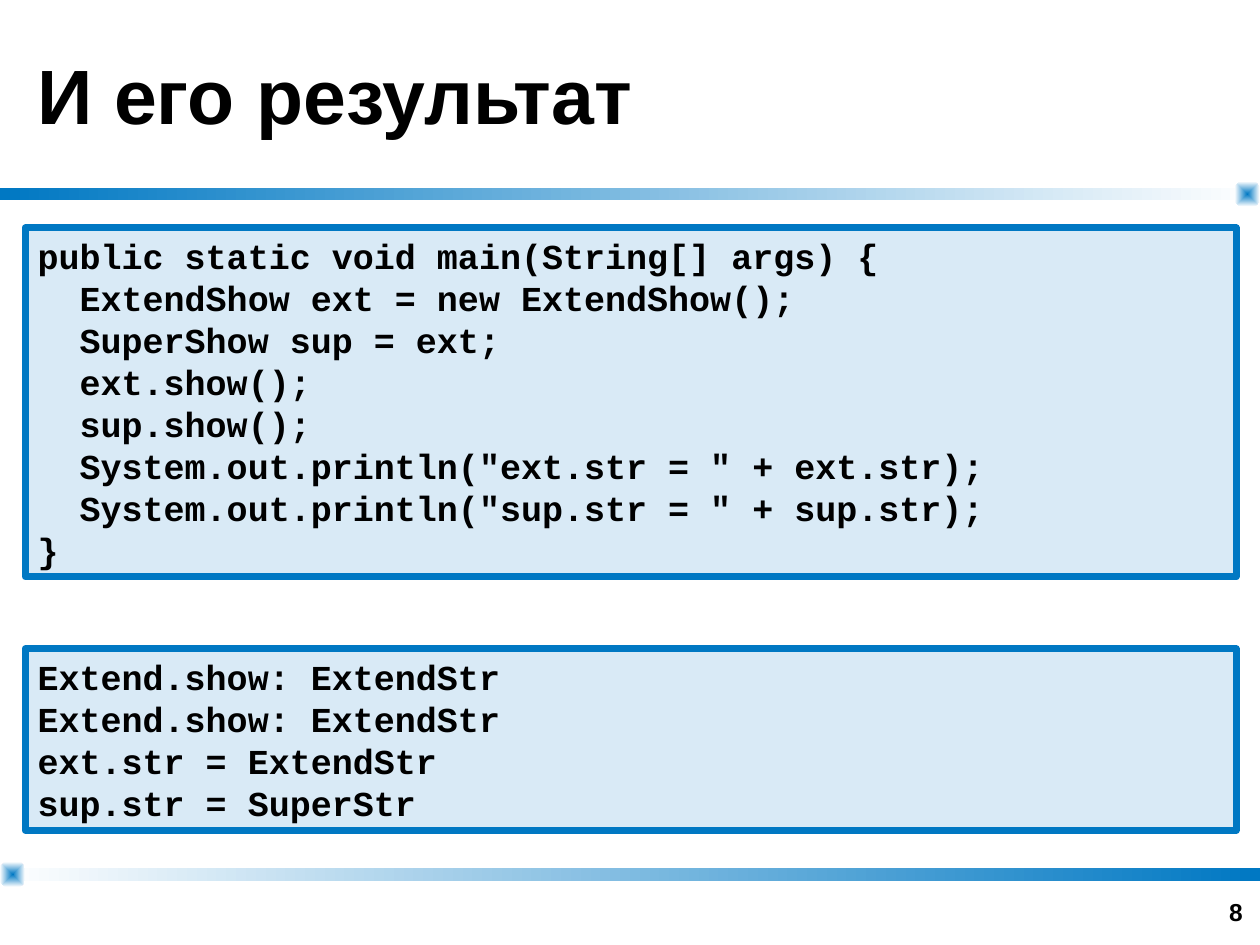
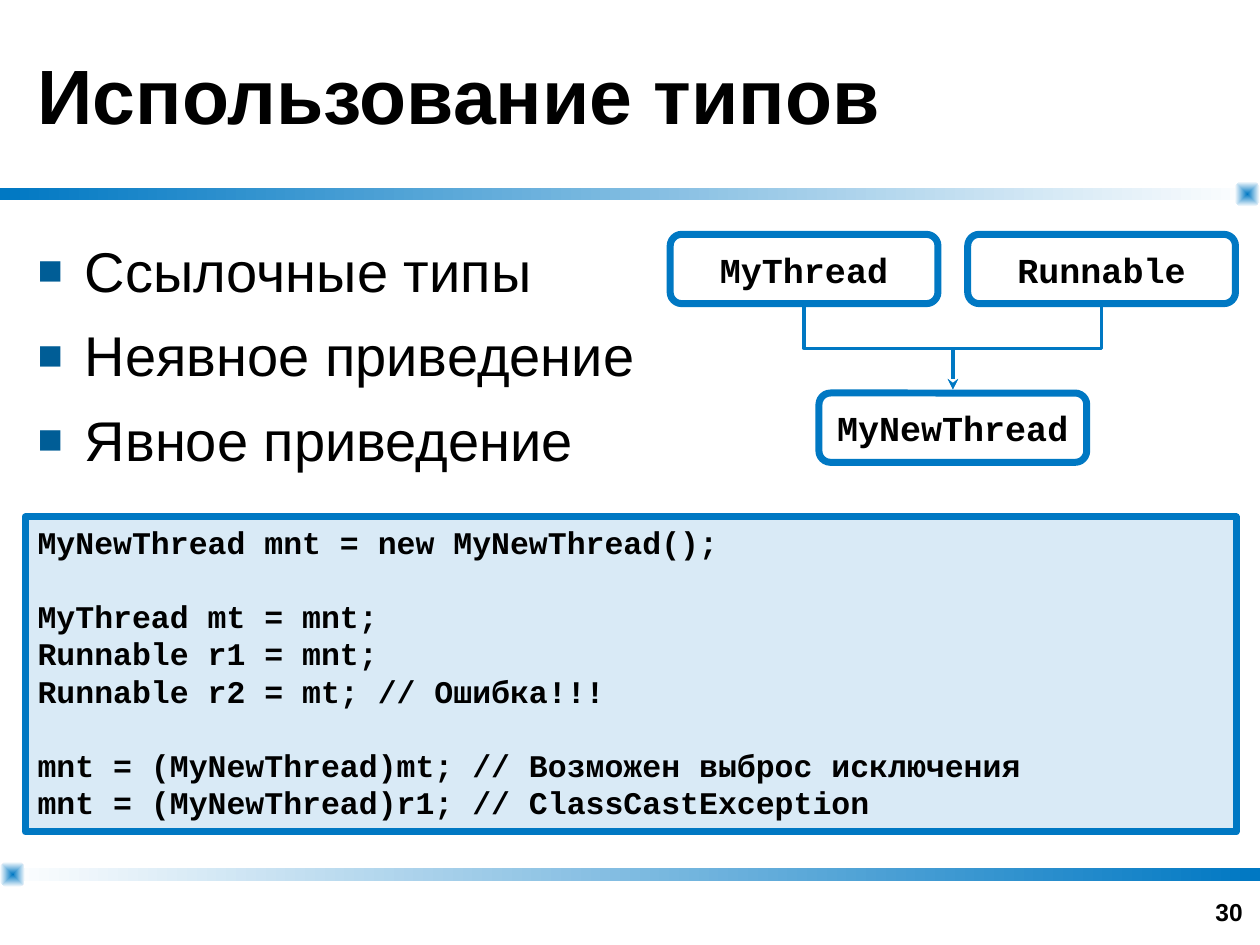
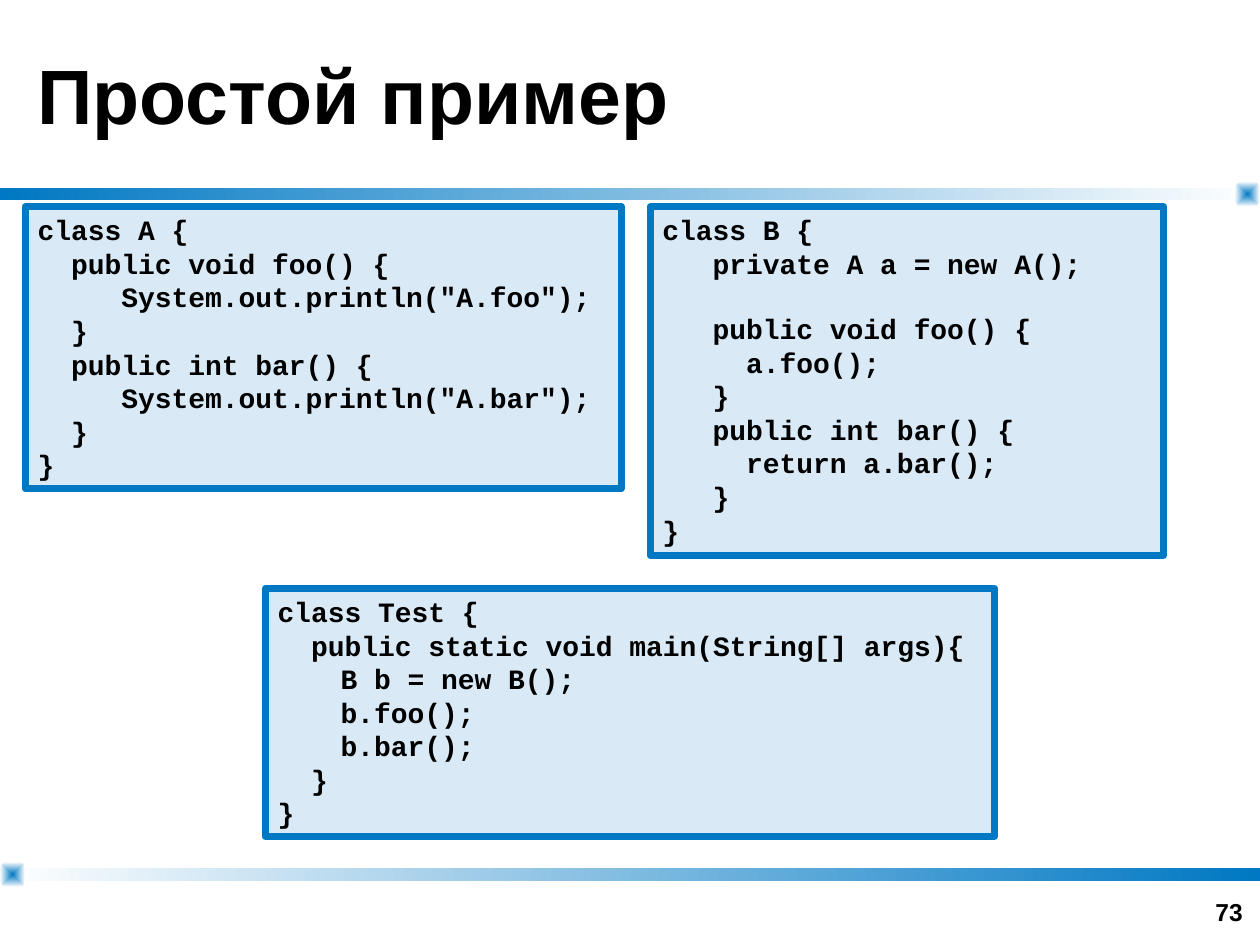
from lxml import etree
from pptx import Presentation
from pptx.dml.color import RGBColor
from pptx.enum.shapes import MSO_CONNECTOR, MSO_SHAPE
from pptx.enum.text import MSO_ANCHOR, PP_ALIGN
from pptx.oxml.ns import qn
from pptx.util import Pt

RECT = MSO_SHAPE.RECTANGLE
ROUND = MSO_SHAPE.ROUNDED_RECTANGLE
ELBOW = MSO_CONNECTOR.ELBOW
TOP, MIDDLE, BOTTOM = MSO_ANCHOR.TOP, MSO_ANCHOR.MIDDLE, MSO_ANCHOR.BOTTOM
LEFT, CENTER, RIGHT = PP_ALIGN.LEFT, PP_ALIGN.CENTER, PP_ALIGN.RIGHT
BLUE = RGBColor(0x00, 0x78, 0xC3)
WHITE = RGBColor(0xFF, 0xFF, 0xFF)
BLACK = RGBColor(0x00, 0x00, 0x00)
SANS, MONO = "Arial", "Courier New"


def draw(slide, kind, *area):
    shape = slide.shapes.add_shape(kind, *[Pt(v) for v in area])
    shape.shadow.inherit = False
    return shape


def write(shape, lines, size, font=MONO, align=LEFT, anchor=TOP, bold=True, gap=0):
    frame = shape.text_frame
    frame.word_wrap = True
    frame.vertical_anchor = anchor
    para, skip = None, 0
    for line in lines:
        if not line:
            skip = round(size * 1.13, 2)
            continue
        first = para is None
        para = frame.paragraphs[0] if first else frame.add_paragraph()
        para.alignment = align
        if not first:
            para.space_before = Pt(gap + skip)
        skip = 0
        run = para.add_run()
        run.text = line
        run.font.name = font
        run.font.size = Pt(size)
        run.font.bold = bold
        run.font.color.rgb = BLACK
    return frame


pages = [
    ("И его результат", "8", 20, [
        ((14.4, 130.3, 692, 199.4), [
            "public static void main(String[] args) {",
            "  ExtendShow ext = new ExtendShow();",
            "  SuperShow sup = ext;",
            "  ext.show();",
            "  sup.show();",
            '  System.out.println("ext.str = " + ext.str);',
            '  System.out.println("sup.str = " + sup.str);',
            "}"]),
        ((14.4, 370.8, 692, 103.7), [
            "Extend.show: ExtendStr",
            "Extend.show: ExtendStr",
            "ext.str = ExtendStr",
            "sup.str = SuperStr"]),
    ]),
    ("Использование типов", "30", 18, [
        ((14.4, 295.4, 692, 180), [
            "MyNewThread mnt = new MyNewThread();",
            "",
            "MyThread mt = mnt;",
            "Runnable r1 = mnt;",
            "Runnable r2 = mt; // Ошибка!!!",
            "",
            "mnt = (MyNewThread)mt; // Возможен выброс исключения",
            "mnt = (MyNewThread)r1; // ClassCastException"]),
    ]),
    ("Простой пример", "73", 16, [
        ((14.4, 118.1, 340.6, 161.3), [
            "class A {",
            "  public void foo() {",
            '     System.out.println("A.foo");',
            "  }",
            "  public int bar() {",
            '     System.out.println("A.bar");',
            "  }",
            "}"]),
        ((151.5, 336.2, 416.9, 141.8), [
            "class Test {",
            "  public static void main(String[] args){",
            "\tB b = new B();",
            "\tb.foo();",
            "\tb.bar();",
            "  }",
            "}"]),
        ((371.5, 118.1, 293.4, 199.4), [
            "class B {",
            "   private A a = new A();",
            "",
            "   public void foo() {",
            "     a.foo();",
            "   }",
            "   public int bar() {",
            "     return a.bar();",
            "   }",
            "}"]),
    ]),
]

deck = Presentation()
deck.slide_width, deck.slide_height = Pt(720), Pt(540)

for title, number, size, panels in pages:
    slide = deck.slides.add_slide(deck.slide_layouts[6])
    for kind, area, tints in (
        (RECT, (0, 107.3, 720, 7.2), (BLUE, WHITE)),
        (RECT, (0, 496.1, 720, 7.2), (WHITE, BLUE)),
        (ROUND, (705.6, 103.7, 14.4, 14.4), (BLUE, WHITE)),
        (ROUND, (0, 492.5, 14.4, 14.4), (BLUE, WHITE)),
    ):
        band = draw(slide, kind, *area)
        band.line.fill.background()
        band.fill.gradient()
        band.fill.gradient_angle = 0
        for stop, tint in zip(band.fill.gradient_stops, tints):
            stop.color.rgb = tint
        if kind == ROUND:
            band.adjustments[0] = 0.32
            grad = band._element.spPr.find(qn("a:gradFill"))
            grad.remove(grad.find(qn("a:lin")))
            focus = etree.SubElement(grad, qn("a:path"), path="rect")
            etree.SubElement(focus, qn("a:fillToRect"),
                             {side: "50000" for side in "ltrb"})
    foot = slide.shapes.add_textbox(Pt(549.4), Pt(496.8), Pt(167.8), Pt(36))
    write(foot, [number], 14, SANS, RIGHT, BOTTOM)
    head = slide.shapes.add_textbox(Pt(14.4), Pt(0), Pt(691.2), Pt(107.3))
    write(head, [title], 44, SANS, anchor=MIDDLE)
    for area, code in panels:
        panel = draw(slide, RECT, *area)
        panel.fill.solid()
        panel.fill.fore_color.rgb = BLUE
        tint = panel._element.spPr.find(qn("a:solidFill"))[0]
        etree.SubElement(tint, qn("a:alpha"), val="15000")
        panel.line.color.rgb = BLUE
        panel.line.width = Pt(4)
        write(panel, code, size)

slide = deck.slides[1]
body = slide.shapes.add_textbox(Pt(14.4), Pt(128.2), Pt(368.6), Pt(141.1))
frame = write(body, ["Ссылочные типы", "Неявное приведение", "Явное приведение"],
              32, SANS, bold=False, gap=9.8)
frame.margin_top = Pt(7)
for para in frame.paragraphs:
    props = para._p.get_or_add_pPr()
    props.set("marL", str(Pt(27)))
    props.set("indent", str(Pt(-27)))
    color = etree.SubElement(props, qn("a:buClr"))
    etree.SubElement(color, qn("a:srgbClr"), val="005D96")
    etree.SubElement(props, qn("a:buSzPct"), val="75000")
    etree.SubElement(props, qn("a:buFont"), typeface=SANS)
    etree.SubElement(props, qn("a:buChar"), char="■")

for name, left, top in (
    ("MyNewThread", 468, 224.6),
    ("MyThread", 383, 133.9),
    ("Runnable", 553, 133.9),
):
    node = draw(slide, ROUND, left, top, 153, 39.6)
    node.fill.background()
    node.line.color.rgb = BLUE
    node.line.width = Pt(4)
    write(node, [name], 20, align=CENTER, anchor=MIDDLE).word_wrap = False

drop, span, mid = 46.8, 85, 199.1
for axis, turn, side in ((502, 270, -1), (587, 90, 1)):
    link = slide.shapes.add_connector(
        ELBOW, Pt(axis - side * drop / 2), Pt(mid - span / 2),
        Pt(axis + side * drop / 2), Pt(mid + span / 2))
    link.line.color.rgb = BLUE
    link.line.width = Pt(2)
    props = link._element.spPr
    props.find(qn("a:xfrm")).set("rot", str(turn * 60000))
    etree.SubElement(props.find(qn("a:ln")), qn("a:tailEnd"), type="stealth")
    etree.SubElement(props, qn("a:effectLst"))

deck.save("out.pptx")
